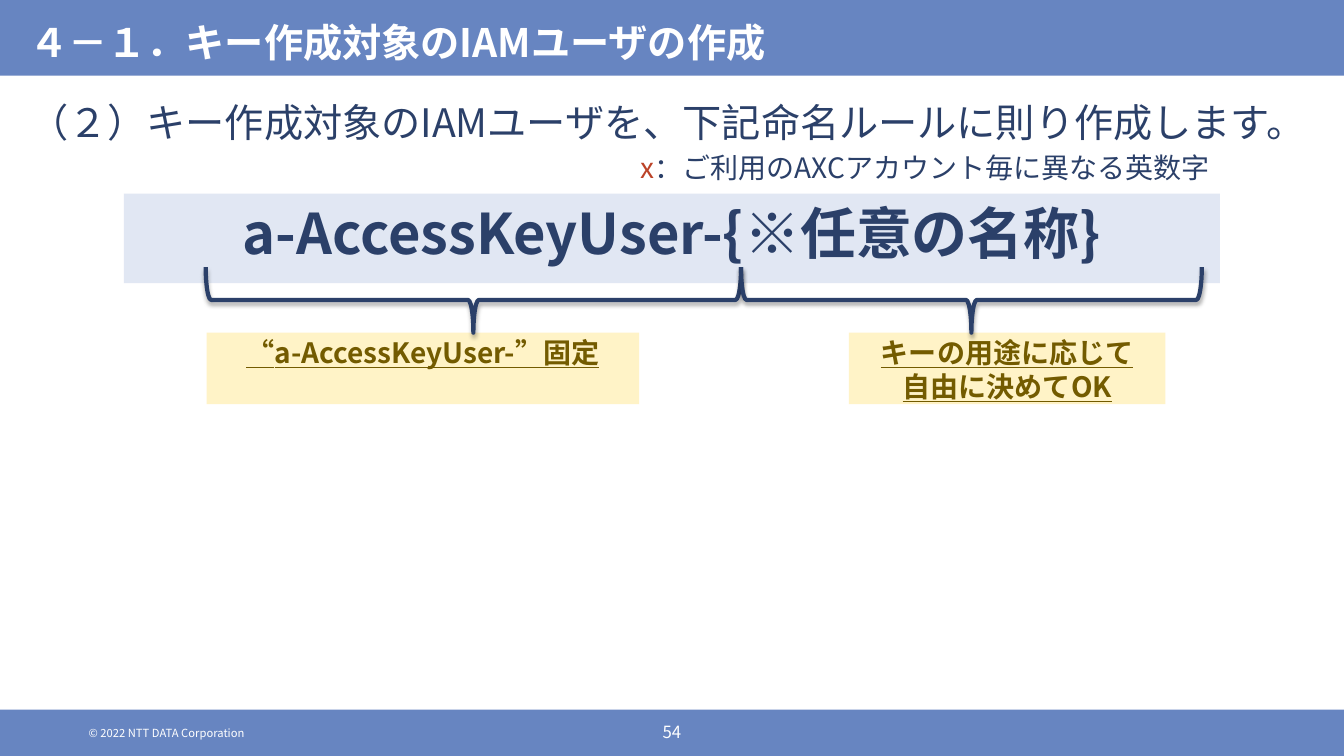
from lxml import etree
from pptx import Presentation
from pptx.dml.color import RGBColor
from pptx.enum.shapes import MSO_SHAPE
from pptx.enum.text import MSO_ANCHOR, PP_ALIGN
from pptx.oxml import parse_xml
from pptx.oxml.ns import nsdecls, qn
from pptx.util import Inches, Pt

RECTANGLE, LEFT_BRACE = MSO_SHAPE.RECTANGLE, MSO_SHAPE.LEFT_BRACE
TOP, MIDDLE = MSO_ANCHOR.TOP, MSO_ANCHOR.MIDDLE
LEFT, CENTER, RIGHT = PP_ALIGN.LEFT, PP_ALIGN.CENTER, PP_ALIGN.RIGHT

WHITE = RGBColor(0xFF, 0xFF, 0xFF)
BAND_BLUE = RGBColor(0x67, 0x85, 0xC1)
PALE_BLUE = RGBColor(0xE1, 0xE7, 0xF3)
NAVY = RGBColor(0x2B, 0x40, 0x69)
PALE_YELLOW = RGBColor(0xFF, 0xF3, 0xC7)
BROWN = RGBColor(0x73, 0x5B, 0x00)
RED = RGBColor(0xBC, 0x43, 0x28)

FONT = "Noto Sans CJK JP"
SLIDE_W, SLIDE_H = 13.33, 7.5
BRACE_SHADOW = (
    f'<a:effectLst {nsdecls("a")}>'
    '<a:outerShdw blurRad="39370" dist="22860" dir="5400000" rotWithShape="0">'
    '<a:srgbClr val="000000"><a:alpha val="35000"/></a:srgbClr>'
    '</a:outerShdw></a:effectLst>')


def style_run(run, size, color, bold=False, underline=False):
    font = run.font
    font.name, font.size, font.color.rgb = FONT, Pt(size), color
    font.bold, font.underline = bold, underline
    east_asian = etree.SubElement(run._r.get_or_add_rPr(), qn("a:ea"))
    east_asian.set("typeface", FONT)


def write(shape, lines, size, color, align=LEFT, anchor=TOP,
          margins=(0.1, 0.05, 0.1, 0.05), **emphasis):
    """Fill a shape with one paragraph per line."""
    frame = shape.text_frame
    frame.word_wrap, frame.vertical_anchor = True, anchor
    (frame.margin_left, frame.margin_top,
     frame.margin_right, frame.margin_bottom) = map(Inches, margins)
    frame.text = "\n".join(lines)
    for paragraph in frame.paragraphs:
        paragraph.alignment = align
        for run in paragraph.runs:
            style_run(run, size, color, **emphasis)


def add_panel(slide, box, color):
    panel = slide.shapes.add_shape(RECTANGLE, *map(Inches, box))
    panel.shadow.inherit = False
    panel.fill.solid()
    panel.fill.fore_color.rgb = color
    panel.line.fill.background()
    return panel


def add_text(slide, box, lines, size, color, **style):
    text_box = slide.shapes.add_textbox(*map(Inches, box))
    write(text_box, lines, size, color, **style)
    return text_box


def add_brace_below(slide, left, top, width, height):
    """Draw a brace that opens upward and points down, within the given box."""
    middle_x, middle_y = left + width / 2, top + height / 2
    brace = slide.shapes.add_shape(
        LEFT_BRACE, Inches(middle_x - height / 2), Inches(middle_y - width / 2),
        Inches(height), Inches(width))
    brace.rotation = 270
    brace.fill.background()
    brace.line.color.rgb, brace.line.width = NAVY, Pt(3)
    brace._element.spPr.append(parse_xml(BRACE_SHADOW))


def add_header(slide, left, top, width, height):
    add_panel(slide, (left, top, width, height), BAND_BLUE)
    add_text(slide, (left + 0.19, top, width - 0.38, height),
             ["４－１．キー作成対象のIAMユーザの作成"], 28, WHITE,
             anchor=MIDDLE, margins=(0.1, 0.12, 0.1, 0.05), bold=True)


def add_footer(slide, left, top, width, height):
    add_panel(slide, (left, top, width, height), BAND_BLUE)
    flat = (0.1, 0, 0.1, 0)
    add_text(slide, (left + 0.78, top + 0.17, 3.44, 0.13),
             ["© 2022 NTT DATA Corporation"], 8, WHITE, margins=flat)
    add_text(slide, (left + (width - 0.73) / 2, top + 0.12, 0.73, 0.2),
             ["54"], 12, WHITE, align=CENTER, margins=flat)


def add_instruction(slide, left, top, width, height):
    add_text(slide, (left, top, width, height),
             ["（２）キー作成対象のIAMユーザを、下記命名ルールに則り作成します。"],
             28, NAVY)


def add_naming_rule(slide, left, top, width, height):
    """Show the name pattern, with its legend above it and its parts below."""
    pattern = add_panel(slide, (left, top, width, height), PALE_BLUE)
    write(pattern, ["a-AccessKeyUser-{※任意の名称}"], 40, NAVY,
          align=CENTER, bold=True)

    legend = add_text(slide, (left + width - 6.16, top - 0.48, 6.16, 0.47),
                      ["x"], 20, RED, align=RIGHT)
    meaning = legend.text_frame.paragraphs[0].add_run()
    meaning.text = "：ご利用のAXCアカウント毎に異なる英数字"
    style_run(meaning, 20, NAVY)

    # brace left, brace width, label left, label width, label lines
    name_parts = [
        (0.81, 5.31, 0.82, 4.29, ["“a-AccessKeyUser-”固定"]),
        (6.12, 4.57, 7.19, 3.14, ["キーの用途に応じて", "自由に決めてOK"]),
    ]
    for brace_x, brace_w, label_x, label_w, lines in name_parts:
        label_top = top + 1.38
        add_panel(slide, (left + label_x, label_top, label_w, 0.71), PALE_YELLOW)
        add_brace_below(slide, left + brace_x, top + 0.73, brace_w, 0.65)
        add_text(slide, (left + label_x - 0.2, label_top - 0.02, label_w + 0.4, 0.86),
                 lines, 20, BROWN, align=CENTER, bold=True, underline=True)


def main():
    deck = Presentation()
    deck.slide_width, deck.slide_height = Inches(SLIDE_W), Inches(SLIDE_H)
    slide = deck.slides.add_slide(deck.slide_layouts[6])
    add_footer(slide, 0, 7.04, SLIDE_W, 0.46)
    add_header(slide, 0, 0, SLIDE_W, 0.75)
    add_instruction(slide, 0.19, 0.93, 12.95, 1.04)
    add_naming_rule(slide, 1.23, 1.92, 10.87, 0.89)
    deck.save("out.pptx")


if __name__ == "__main__":
    main()
